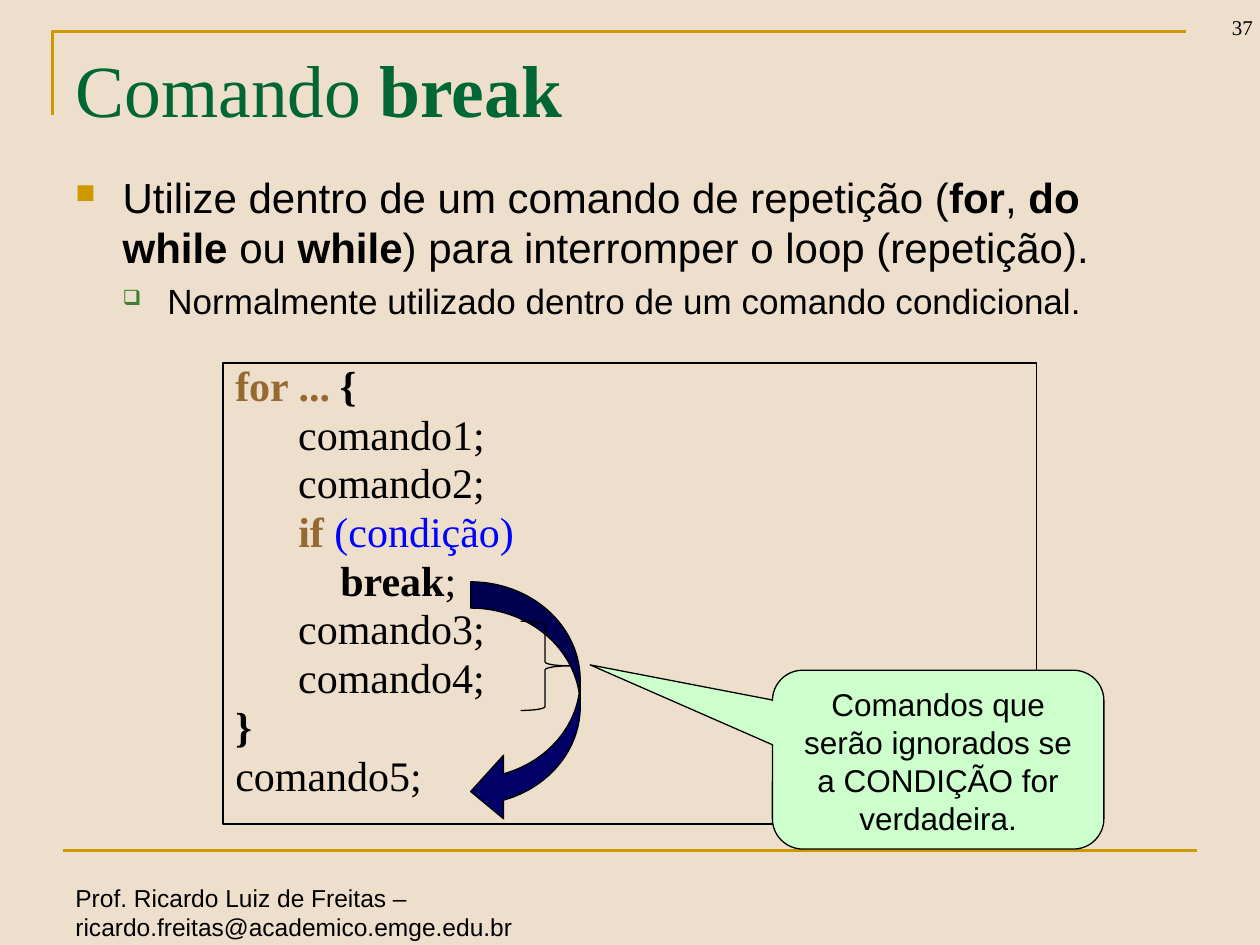
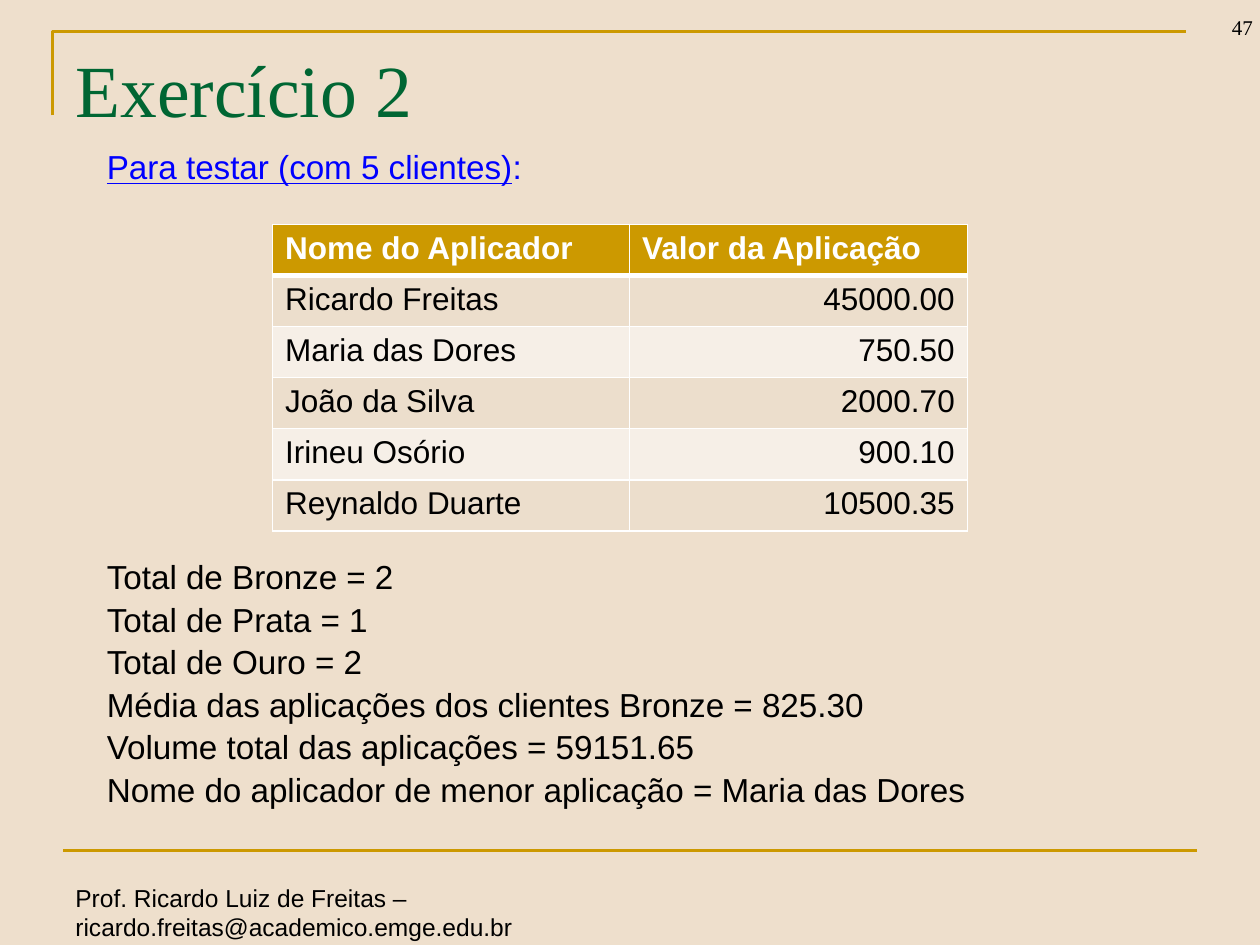
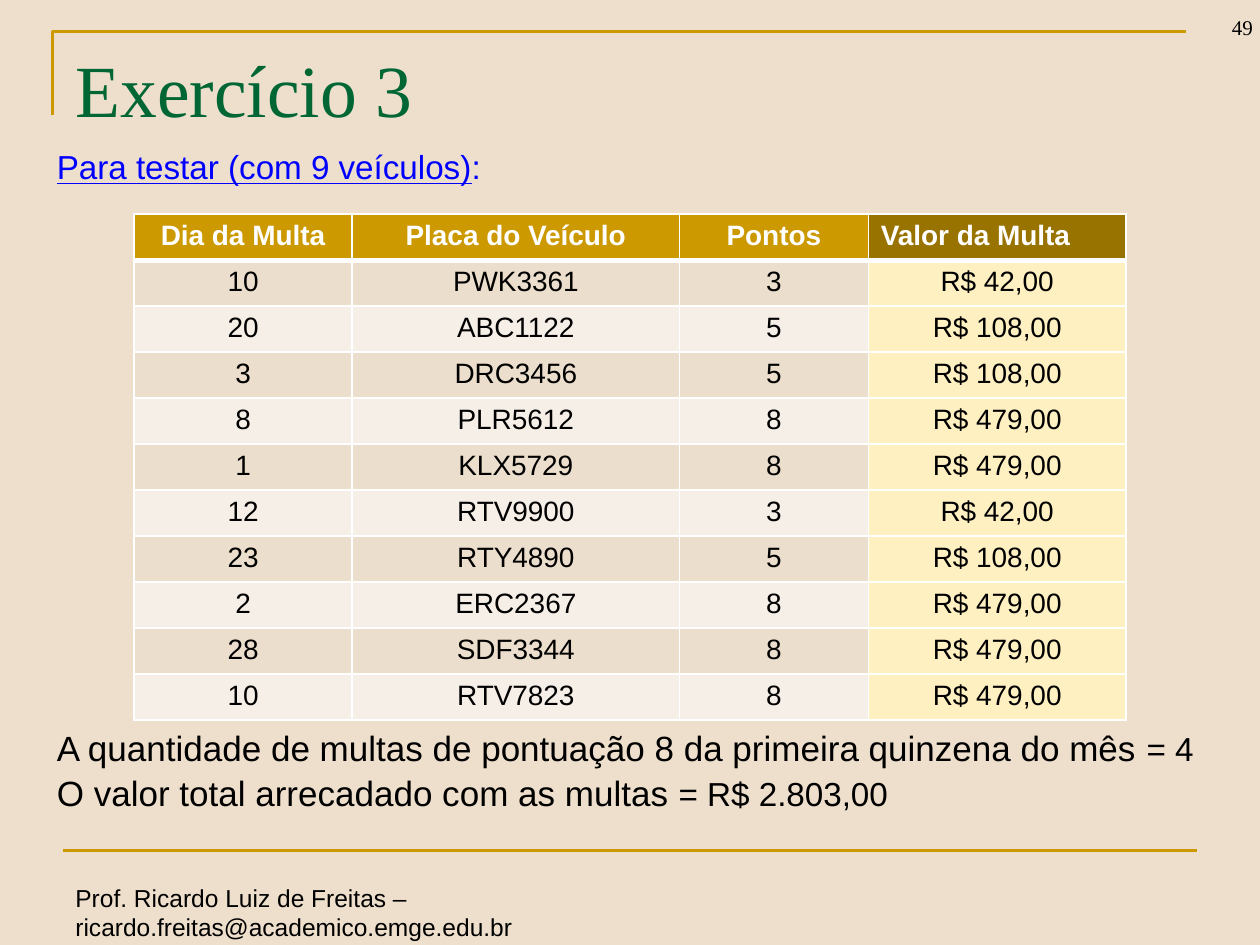
from pptx import Presentation
from pptx import util as u
from pptx.dml.color import RGBColor
from pptx.enum import shapes as sh, text as tx
from pptx.oxml import parse_xml
from pptx.oxml.ns import nsdecls, qn

Pt = u.Pt
LEFT, MID, RIGHT = tx.PP_ALIGN.LEFT, tx.PP_ALIGN.CENTER, tx.PP_ALIGN.RIGHT
TOP, LOW = tx.MSO_ANCHOR.TOP, tx.MSO_ANCHOR.BOTTOM


class Theme:
    # Colours
    back, gold, dark = "EEDFCC", "CC9900", "997300"
    green, leaf, mint = "006633", "3B812F", "CCFFCC"
    black, white, blue, navy, brown = "000000", "FFFFFF", "0000FF", "000066", "946A32"
    bands = ("ECDECC", "F6EFE7")
    pale = "FFF0C2"
    # Fonts and sizes
    sans, serif = "Arial", "Times New Roman"
    title, body, sub, test, note, foot, num = 42, 24, 20, 19, 18, 14, 12


T = Theme
FOOT = "Prof. Ricardo Luiz de Freitas – ricardo.freitas@academico.emge.edu.br"


def rgb(code):
    return RGBColor.from_string(code)


def say(frame, paras, size=T.body, font=T.sans, color=T.black, bold=False,
        align=LEFT, anchor=TOP, line=None, gap=0, marks=()):
    """Each paragraph is a string or a list of runs; a run is a string or (string, changes)."""
    frame.word_wrap = True
    frame.auto_size = tx.MSO_AUTO_SIZE.NONE
    frame.vertical_anchor = anchor
    for i, runs in enumerate(paras):
        para = frame.paragraphs[0] if i == 0 else frame.add_paragraph()
        para.alignment = align
        para.space_before = Pt(gap if i else 0)
        if line:
            para.line_spacing = line
        if i < len(marks):
            bullet(para, *marks[i])
        for part in [runs] if isinstance(runs, str) else runs:
            words, new = (part, {}) if isinstance(part, str) else part
            run = para.add_run()
            run.text = words
            face = run.font
            face.name = new.get("font", font)
            face.size = Pt(new.get("size", size))
            face.bold = new.get("bold", bold)
            face.underline = new.get("line", False)
            face.color.rgb = rgb(new.get("color", color))


def bullet(para, char, color, scale, left, hang):
    props = para._p.get_or_add_pPr()
    props.set("marL", str(Pt(left)))
    props.set("indent", str(-Pt(hang)))
    for tag in (f'<a:buClr {nsdecls("a")}><a:srgbClr val="{color}"/></a:buClr>',
                f'<a:buSzPct {nsdecls("a")} val="{scale * 1000}"/>',
                f'<a:buChar {nsdecls("a")} char="{char}"/>'):
        props.append(parse_xml(tag))


def box(slide, place, paras, **style):
    area = slide.shapes.add_textbox(*map(Pt, place))
    say(area.text_frame, paras, **style)


def shape(slide, kind, place, fill=None, adjust=(), flip=False):
    item = slide.shapes.add_shape(kind, *map(Pt, place))
    paint(item, fill, T.black, 0.75)
    for i, value in enumerate(adjust):
        item.adjustments[i] = value
    if flip:
        item.element.spPr.xfrm.set("flipH", "1")
    return item


def paint(item, fill, edge, width):
    item.shadow.inherit = False
    if fill:
        item.fill.solid()
        item.fill.fore_color.rgb = rgb(fill)
    else:
        item.fill.background()
    item.line.color.rgb = rgb(edge)
    item.line.width = Pt(width)


def border(cell, top, low):
    props = cell._tc.get_or_add_tcPr()
    for side, width in zip("LRTB", (1, 1, top, low)):
        props.append(parse_xml(
            f'<a:ln{side} {nsdecls("a")} w="{Pt(width)}"><a:solidFill>'
            f'<a:srgbClr val="{T.white}"/></a:solidFill></a:ln{side}>'))


def table(slide, left, top, cols, high, rows, size, aligns, heads, accent=False):
    place = (left, top, sum(cols), high * len(rows))
    grid = slide.shapes.add_table(len(rows), len(cols), *map(Pt, place)).table
    for col, width in zip(grid.columns, cols):
        col.width = Pt(width)
    for r, row in enumerate(rows):
        grid.rows[r].height = Pt(high)
        for c, words in enumerate(row):
            cell = grid.cell(r, c)
            last = accent and c == len(cols) - 1
            if r == 0:
                fill = T.dark if last else T.gold
            else:
                fill = T.pale if last else T.bands[(r - 1) % 2]
            border(cell, 3 if r == 1 else 1, 3 if r == 0 else 1)
            cell.fill.solid()
            cell.fill.fore_color.rgb = rgb(fill)
            say(cell.text_frame, [words], size=size, bold=r == 0,
                color=T.black if r else T.white,
                align=aligns[c] if r else heads[c])


def page(deck, title, number):
    slide = deck.slides.add_slide(deck.slide_layouts[5])
    # Corner line and foot line
    path = slide.shapes.build_freeform(Pt(30), Pt(66))
    path.add_line_segments([(Pt(30), Pt(18)), (Pt(678), Pt(18))], close=False)
    paint(path.convert_to_shape(), None, T.gold, 1.5)
    rule = slide.shapes.add_connector(
        sh.MSO_CONNECTOR.STRAIGHT, Pt(36), Pt(486), Pt(684), Pt(486))
    rule.line.color.rgb = rgb(T.gold)
    rule.line.width = Pt(1.5)
    rule.element.spPr.append(parse_xml(f'<a:effectLst {nsdecls("a")}/>'))
    # Title, footer and page number
    head = slide.shapes.title
    head.left, head.top, head.width, head.height = map(Pt, (36, 21.6, 648, 90))
    say(head.text_frame, [title], size=T.title, font=T.serif, color=T.green)
    box(slide, (36, 501, 450, 38), [FOOT], size=T.foot)
    box(slide, (669, -10, 54, 36), [number], size=T.num, font=T.serif,
        align=RIGHT, anchor=LOW)
    return slide


def lines(slide, left, top, width, high, paras):
    box(slide, (left, top, width, high), paras, size=T.test, line=0.9, gap=3.8)


def test(slide, left, words):
    lines(slide, left, 82.8, 640, 32,
          [[(words, {"color": T.blue, "line": True}), (":", {"color": T.blue})]])


def stop(deck):
    strong = {"bold": True}
    key = {"bold": True, "color": T.brown}
    slide = page(deck, ["Comando ", ("break", strong)], "37")
    # Bulleted text
    box(slide, (36, 94.5, 648, 100), [
        ["Utilize dentro de um comando de repetição (", ("for", strong), ", ",
         ("do while", strong), " ou ", ("while", strong),
         ") para interromper o loop (repetição)."],
        [("Normalmente utilizado dentro de um comando condicional.", {"size": T.sub})],
    ], gap=4, marks=[("■", T.gold, 65, 27, 27), ("❑", T.leaf, 60, 52.6, 25.6)])
    # Code
    code = shape(slide, sh.MSO_SHAPE.RECTANGLE, (127.4, 207.4, 465, 263.5))
    say(code.text_frame, [
        [("for ...", key), (" ", {"size": T.sub, "font": T.sans}), ("{", strong)],
        "      comando1;",
        "      comando2;",
        ["      ", ("if ", key), ("(condição)", {"color": T.blue})],
        ["          ", ("break", strong), ";"],
        "      comando3;",
        "      comando4;",
        [("}", strong)],
        "comando5;",
    ], font=T.serif, line=0.8, gap=4.8)
    # Jump arrow, brace and callout
    shape(slide, sh.MSO_SHAPE.CURVED_RIGHT_ARROW, (269, 332.5, 62.6, 138),
          T.navy, (0.24, 0.58, 0.3), flip=True)
    shape(slide, sh.MSO_SHAPE.RIGHT_BRACE, (297.5, 355, 28, 51), None, (0.08, 0.5))
    note = shape(slide, sh.MSO_SHAPE.ROUNDED_RECTANGULAR_CALLOUT,
                 (441.4, 383, 189.4, 102.2), T.mint, (-1.05, -0.53, 0.17))
    say(note.text_frame,
        ["Comandos que serão ignorados se a CONDIÇÃO for verdadeira."],
        size=T.note, align=MID)


def funds(deck):
    slide = page(deck, "Exercício 2", "47")
    test(slide, 54, "Para testar (com 5 clientes)")
    rows = [
        ("Nome do Aplicador", "Valor da Aplicação"),
        ("Ricardo Freitas", "45000.00"),
        ("Maria das Dores", "750.50"),
        ("João da Silva", "2000.70"),
        ("Irineu Osório", "900.10"),
        ("Reynaldo Duarte", "10500.35"),
    ]
    table(slide, 155.8, 128.2, (204, 193), 29.2, rows, 18, (LEFT, RIGHT), (LEFT, LEFT))
    lines(slide, 54, 317, 640, 160, [
        "Total de Bronze = 2",
        "Total de Prata = 1",
        "Total de Ouro = 2",
        "Média das aplicações dos clientes Bronze = 825.30",
        "Volume total das aplicações = 59151.65",
        "Nome do aplicador de menor aplicação = Maria das Dores",
    ])


def fines(deck):
    slide = page(deck, "Exercício 3", "49")
    test(slide, 25.4, "Para testar (com 9 veículos)")
    cost = {"3": "R$ 42,00", "5": "R$ 108,00", "8": "R$ 479,00"}
    cases = [
        ("10", "PWK3361", "3"), ("20", "ABC1122", "5"), ("3", "DRC3456", "5"),
        ("8", "PLR5612", "8"), ("1", "KLX5729", "8"), ("12", "RTV9900", "3"),
        ("23", "RTY4890", "5"), ("2", "ERC2367", "8"), ("28", "SDF3344", "8"),
        ("10", "RTV7823", "8"),
    ]
    rows = [("Dia da Multa", "Placa do Veículo", "Pontos", "Valor da Multa")]
    rows += [(*case, cost[case[2]]) for case in cases]
    table(slide, 76.6, 122.4, (124.6, 187.2, 107.8, 147.4), 26.3, rows, 16,
          (MID,) * 4, (MID, MID, MID, LEFT), accent=True)
    big = {"size": T.sub}
    lines(slide, 25.4, 414.5, 675, 64, [
        [("A quantidade de multas de pontuação 8 da primeira quinzena do mês ", big), "= 4"],
        [("O valor total arrecadado com as multas ", big), "= R$ 2.803,00"],
    ])


def main():
    deck = Presentation()
    deck.slide_width, deck.slide_height = Pt(720), Pt(540)
    fill = deck.slide_master.background.fill
    fill.solid()
    fill.fore_color.rgb = rgb(T.back)
    for make in (stop, funds, fines):
        make(deck)
    deck.save("out.pptx")


if __name__ == "__main__":
    main()
